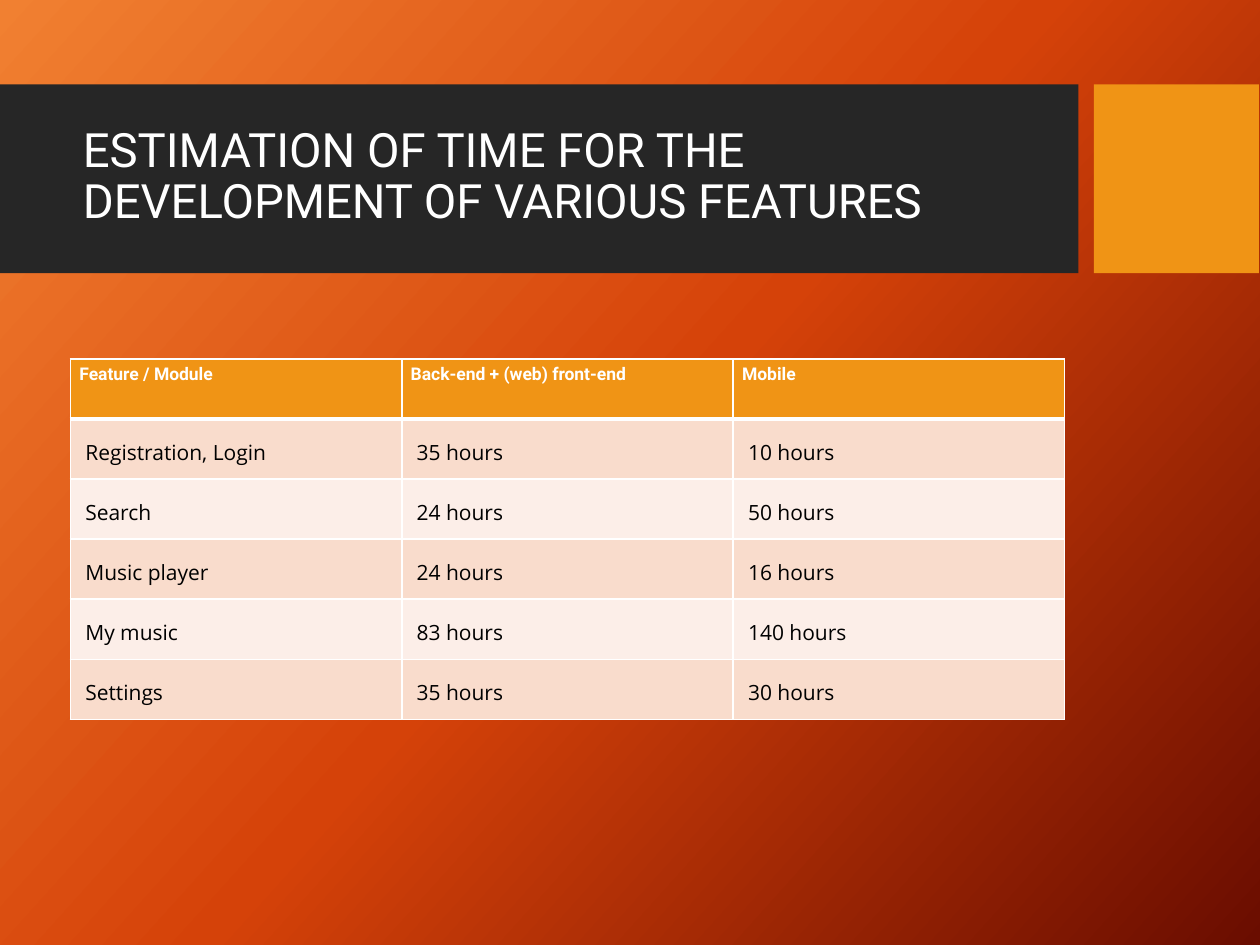
from copy import deepcopy
from dataclasses import dataclass

from lxml import etree
from pptx import Presentation
from pptx.dml.color import RGBColor
from pptx.enum.shapes import MSO_SHAPE
from pptx.enum.text import MSO_ANCHOR, PP_ALIGN
from pptx.oxml.ns import qn
from pptx.util import Cm, Pt

RECTANGLE = MSO_SHAPE.RECTANGLE
MIDDLE = MSO_ANCHOR.MIDDLE
LEFT, JUSTIFY = PP_ALIGN.LEFT, PP_ALIGN.JUSTIFY


@dataclass(frozen=True)
class Theme:
    backdrop: tuple = ((0, "F18031"), (0.5, "D54209"), (1, "6A0D00"))
    backdrop_angle: int = 42
    banner: str = "262626"
    accent: str = "F09415"
    bands: tuple = ("F9DCCC", "FCEEE8")
    light: str = "FFFFFF"
    dark: str = "000000"
    heading_font: str = "Roboto"
    body_font: str = "Open Sans"
    title_size: int = 27
    header_size: int = 10
    body_size: int = 12
    thin: int = 1
    thick: int = 3


THEME = Theme()

TITLE = "ESTIMATION OF TIME FOR THE DEVELOPMENT OF VARIOUS FEATURES"
ESTIMATES = (
    ("Feature / Module", "Back-end + (web) front-end", "Mobile"),
    ("Registration, Login", "35 hours", "10 hours"),
    ("Search", "24 hours", "50 hours"),
    ("Music player", "24 hours", "16 hours"),
    ("My music", "83 hours", "140 hours"),
    ("Settings", "35 hours", "30 hours"),
)

HEADER_FORMAT = {
    "inset": 0.18,
    "font": {"name": THEME.heading_font, "size": Pt(THEME.header_size), "bold": True},
    "color": THEME.light,
    "paragraph": {"alignment": LEFT},
}
BODY_FORMAT = {
    "inset": 0.3,
    "font": {"name": THEME.body_font, "size": Pt(THEME.body_size), "bold": False},
    "color": THEME.dark,
    "paragraph": {"alignment": JUSTIFY, "line_spacing": 1.5, "space_after": Pt(8)},
}


def apply(target, values):
    for attribute, value in values.items():
        setattr(target, attribute, value)


def write(paragraph, text, font, color):
    run = paragraph.add_run()
    run.text = text
    apply(run.font, font)
    run.font.color.rgb = RGBColor.from_string(color)


def paint_background(slide):
    fill = slide.background.fill
    fill.gradient()
    fill.gradient_angle = 360 - THEME.backdrop_angle
    stop_list = next(slide.element.iter(qn("a:gsLst")))
    stop_list.append(deepcopy(stop_list[-1]))
    for stop, (position, color) in zip(fill.gradient_stops, THEME.backdrop):
        stop.position = position
        stop.color.rgb = RGBColor.from_string(color)


def add_block(slide, left, top, width, height, color):
    block = slide.shapes.add_shape(RECTANGLE, Cm(left), Cm(top), Cm(width), Cm(height))
    block.shadow.inherit = False
    block.fill.solid()
    block.fill.fore_color.rgb = RGBColor.from_string(color)
    block.line.fill.background()


def add_title_band(slide, left, top, width, height):
    """Dark banner with the title, and an accent block at its right end."""
    accent_width, gap = 3.33, 0.31
    banner_width = width - accent_width - gap
    add_block(slide, left, top, banner_width, height, THEME.banner)
    add_block(slide, left + width - accent_width, top, accent_width, height, THEME.accent)

    title = slide.shapes.add_textbox(
        Cm(left + 1.42), Cm(top + 0.38), Cm(20.04), Cm(3)
    ).text_frame
    apply(title, {"word_wrap": True, "vertical_anchor": MIDDLE})
    title.paragraphs[0].line_spacing = 0.9
    font = {"name": THEME.heading_font, "size": Pt(THEME.title_size)}
    write(title.paragraphs[0], TITLE, font, THEME.light)


def add_borders(cell, widths):
    properties = cell._tc.get_or_add_tcPr()
    for side, width in widths.items():
        border = etree.SubElement(properties, qn(f"a:ln{side}"), w=str(Pt(width)))
        fill = etree.SubElement(border, qn("a:solidFill"))
        etree.SubElement(fill, qn("a:srgbClr"), val=THEME.light)


def format_cell(cell, text, look, fill, borders):
    inset = Cm(look["inset"])
    apply(cell, {"margin_left": inset, "margin_right": inset,
                 "margin_top": Cm(0.1), "margin_bottom": Cm(0.1)})
    add_borders(cell, borders)
    cell.fill.solid()
    cell.fill.fore_color.rgb = RGBColor.from_string(fill)
    paragraph = cell.text_frame.paragraphs[0]
    apply(paragraph, look["paragraph"])
    write(paragraph, text, look["font"], look["color"])


def add_estimate_table(slide, left, top, width, height):
    row_count, column_count = len(ESTIMATES), len(ESTIMATES[0])
    table = slide.shapes.add_table(
        row_count, column_count, Cm(left), Cm(top), Cm(width), Cm(height)
    ).table
    for column in table.columns:
        column.width = Cm(width / column_count)
    for index, (row, texts) in enumerate(zip(table.rows, ESTIMATES)):
        row.height = Cm(height / row_count)
        is_header = index == 0
        look = HEADER_FORMAT if is_header else BODY_FORMAT
        fill = THEME.accent if is_header else THEME.bands[(index - 1) % 2]
        borders = dict.fromkeys("LRTB", THEME.thin)
        if index < 2:
            borders["B" if is_header else "T"] = THEME.thick
        for cell, text in zip(row.cells, texts):
            format_cell(cell, text, look, fill, borders)


def main():
    presentation = Presentation()
    presentation.slide_width, presentation.slide_height = Cm(25.4), Cm(19.05)
    slide = presentation.slides.add_slide(presentation.slide_layouts[6])
    paint_background(slide)
    add_title_band(slide, 0, 1.7, 25.38, 3.81)
    add_estimate_table(slide, 1.42, 7.24, 20.04, 7.26)
    presentation.save("out.pptx")


if __name__ == "__main__":
    main()
